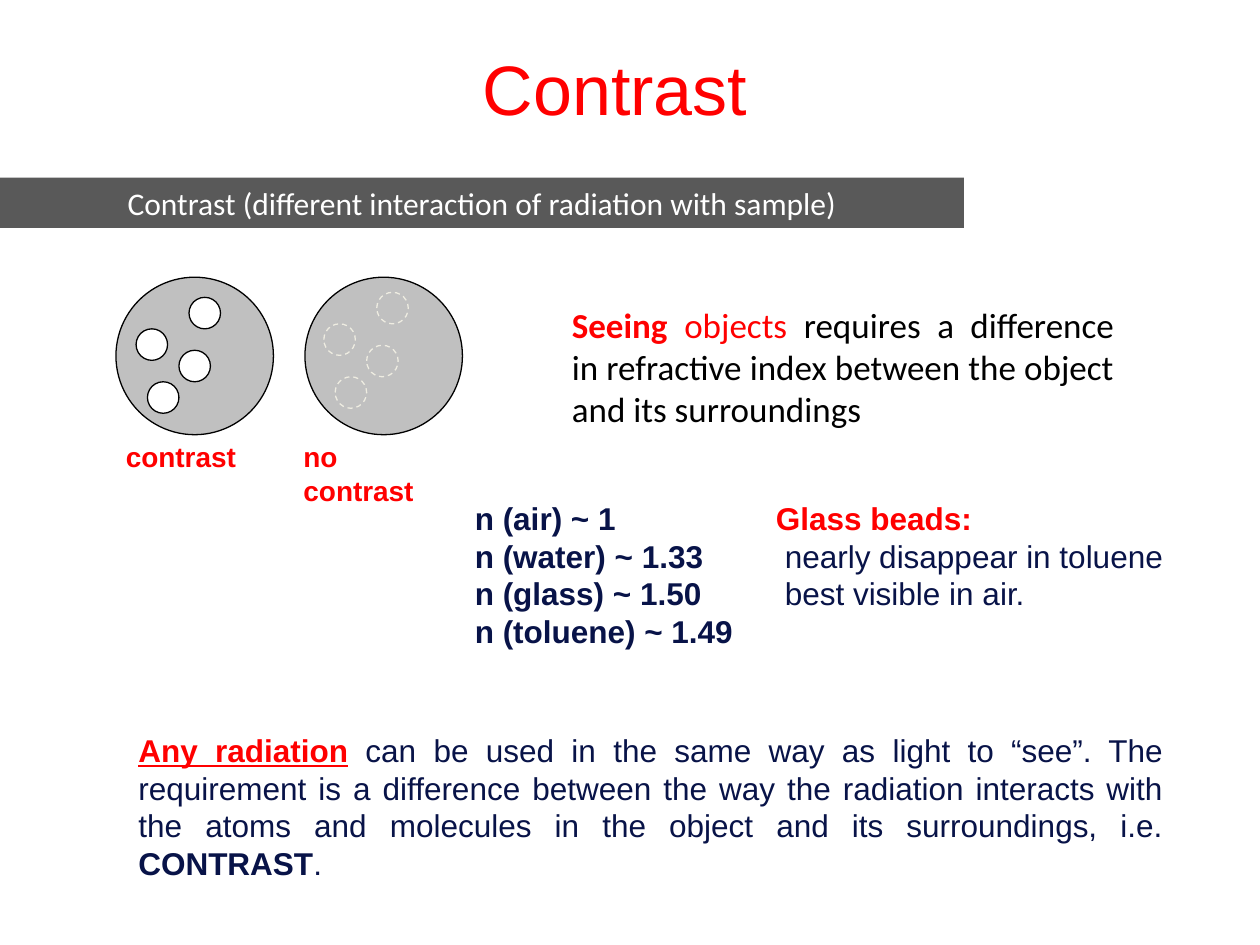
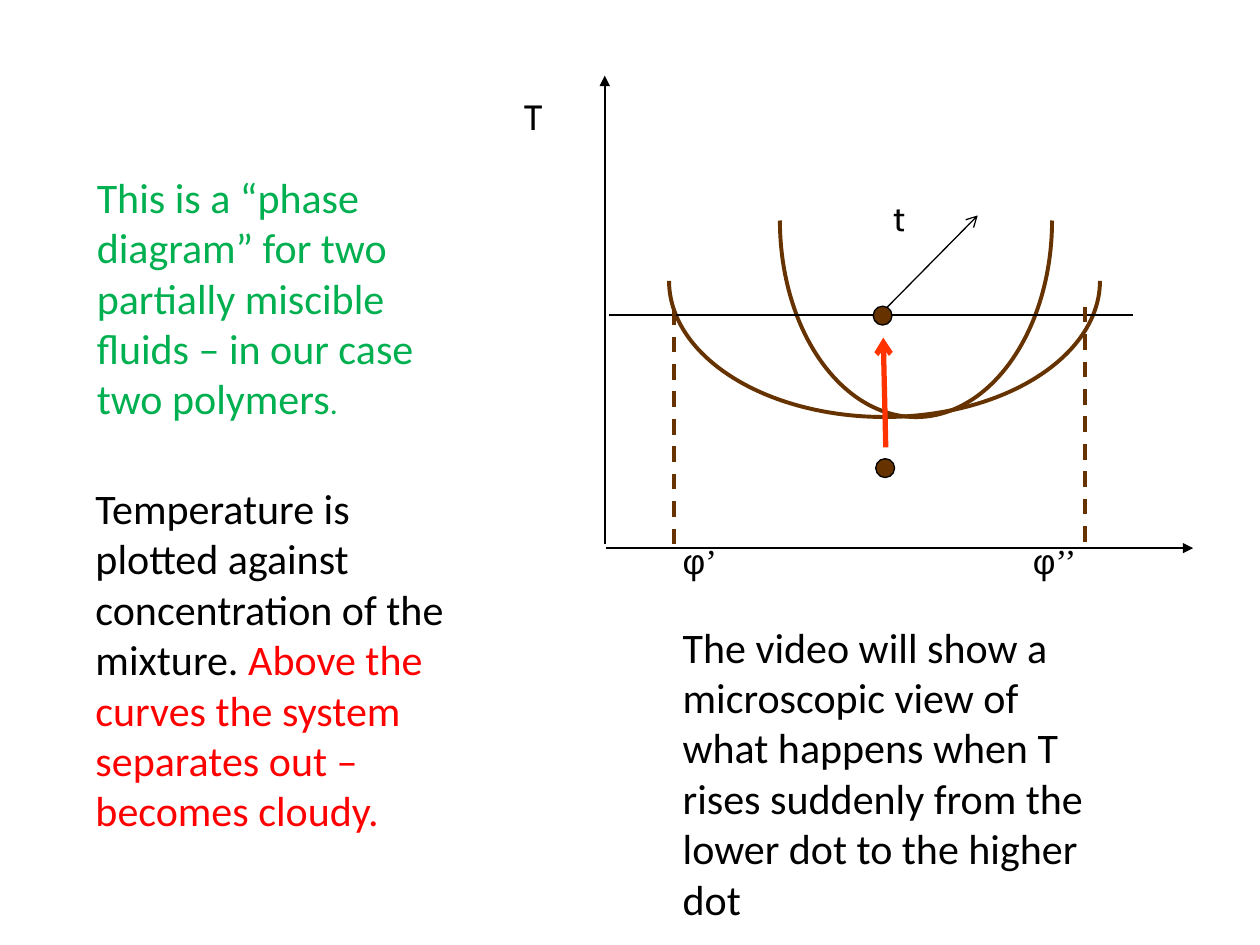
import pptx
import pptx.util
import pptx.dml.color
import pptx.enum.dml
import pptx.enum.shapes
import pptx.enum.text
import lxml.etree

PX = 9144
RED, NAVY, BLACK, WHITE = "FF0000", "081348", "000000", "FFFFFF"
GREY, PALE, BROWN, GREEN = "C0C0C0", "EEECE1", "663300", "00B050"
Pt = pptx.util.Pt
Kind = pptx.enum.shapes.MSO_SHAPE
Align = pptx.enum.text.PP_ALIGN
DASH = pptx.enum.dml.MSO_LINE.DASH
hue = pptx.dml.color.RGBColor.from_string


def draw(slide, kind, box, fill, edge=None, width=0.75, dash=None):
    shape = slide.shapes.add_shape(kind, *[n * PX for n in box])
    shape.shadow.inherit = False
    if fill:
        shape.fill.solid()
        shape.fill.fore_color.rgb = hue(fill)
    else:
        shape.fill.background()
    if edge:
        shape.line.color.rgb = hue(edge)
        shape.line.width = Pt(width)
        shape.line.dash_style = dash
    else:
        shape.line.fill.background()
    return shape


def write(frame, size, paras, align=Align.LEFT, font="Calibri"):
    frame.word_wrap = True
    frame.vertical_anchor = pptx.enum.text.MSO_ANCHOR.TOP
    for i, runs in enumerate(paras):
        para = frame.paragraphs[0] if i == 0 else frame.add_paragraph()
        para.alignment = align
        for text, color, *marks in runs:
            run = para.add_run()
            run.text = text
            run.font.size = Pt(size)
            run.font.name = font
            run.font.color.rgb = hue(color)
            run.font.bold = "b" in marks
            run.font.underline = "u" in marks
            for mark in marks:
                if mark not in ("b", "u"):
                    run.font.name = mark
    return frame


deck = pptx.Presentation()
deck.slide_width = 1000 * PX
deck.slide_height = 750 * PX
blank = deck.slide_layouts[6]

slide = deck.slides.add_slide(blank)
title = slide.shapes.add_textbox(17 * PX, 36 * PX, 942 * PX, 67 * PX).text_frame
title.margin_left = title.margin_right = title.margin_top = title.margin_bottom = 0
write(title, 40, [[("Contrast", RED)]], Align.CENTER, "Arial")
title.vertical_anchor = pptx.enum.text.MSO_ANCHOR.MIDDLE

band = draw(slide, Kind.RECTANGLE, (0, 141, 765, 40), "595959")
write(band.text_frame, 18,
      [[("Contrast (different interaction of radiation with sample)", WHITE)]],
      Align.CENTER)

beads = [(16, 41), (50, 58), (58, 16), (25, 83)]
for left, dx, dy, fill, edge, dash in [
    (92, 0, 0, WHITE, BLACK, None),
    (242, -1, -4, GREY, PALE, DASH),
]:
    draw(slide, Kind.OVAL, (left, 220, 125, 125), GREY, BLACK)
    for x, y in beads:
        box = (left + x + dx, 220 + y + dy, 25, 25)
        draw(slide, Kind.OVAL, box, fill, edge, dash=dash)

notes = [
    ((100, 575, 833, 131), 18, "Arial", [[
        ("Any radiation", RED, "b", "u"),
        (" ", RED),
        ("can be used in the same way as light to “see”. The requirement is a "
         "difference between the way the radiation interacts with the atoms and "
         "molecules in the object and its surroundings, i.e. ", NAVY),
        ("CONTRAST", NAVY, "b"),
        (".", NAVY),
    ]]),
    ((90, 344, 125, 37), 16, "Arial", [[("contrast", RED, "b")]]),
    ((231, 344, 125, 64), 16, "Arial", [[("no contrast", RED, "b")]]),
    ((444, 236, 450, 111), 20, "Calibri", [[
        ("Seeing ", RED, "b"),
        ("objects ", RED),
        ("requires a difference in refractive index between the object and its "
         "surroundings", BLACK),
    ]]),
    ((367, 391, 248, 131), 18, "Arial", [
        [(f"n ({name}) ~ {index}", NAVY, "b")]
        for name, index in [("air", "1"), ("water", "1.33"),
                            ("glass", "1.50"), ("toluene", "1.49")]
    ]),
    ((606, 391, 352, 101), 18, "Arial", [
        [("Glass beads:", RED, "b")],
        [("nearly disappear in toluene", NAVY)],
        [("best visible in air.", NAVY)],
    ]),
]
for box, size, font, paras in notes:
    frame = slide.shapes.add_textbox(*[n * PX for n in box]).text_frame
    write(frame, size, paras, Align.JUSTIFY, font)
for para in frame.paragraphs[1:]:
    para._p.get_or_add_pPr().set("marL", str(7 * PX))

slide = deck.slides.add_slide(blank)
for mid, base, wide, high in [(727, 175, 108, 156), (702, 223, 171, 108)]:
    box = (mid - wide, base - high, 2 * wide, 2 * high)
    curve = draw(slide, Kind.ARC, box, None, BROWN, 2.25)
    curve.adjustments[0] = 0
    curve.adjustments[1] = 108

for ends, color, width, dash, tip in [
    ((480, 432, 480, 60), BLACK, 1, None, "triangle"),
    ((481, 435, 947, 435), BLACK, 1, None, "triangle"),
    ((483, 250, 899, 250), BLACK, 0.75, None, None),
    ((535, 432, 535, 239), BROWN, 2.25, DASH, None),
    ((861, 430, 861, 237), BROWN, 2.25, DASH, None),
    ((703, 355, 701, 268), "FF3300", 3, None, "arrow"),
    ((704, 244, 776, 171), BLACK, 0.75, None, "arrow"),
]:
    line = slide.shapes.add_connector(
        pptx.enum.shapes.MSO_CONNECTOR.STRAIGHT, *[n * PX for n in ends])
    line.line.color.rgb = hue(color)
    line.line.width = Pt(width)
    line.line.dash_style = dash
    props = line._element.spPr
    if tip:
        tail = lxml.etree.SubElement(line.line._get_or_add_ln(),
                                     pptx.oxml.ns.qn("a:tailEnd"))
        tail.set("type", tip)
    lxml.etree.SubElement(props, pptx.oxml.ns.qn("a:effectLst"))

for x, y in [(693, 243), (695, 364)]:
    draw(slide, Kind.OVAL, (x, y, 15, 15), BROWN, BLACK)

prime = "Times New Roman"
for box, size, font, runs in [
    ((406, 71, 73, 75), 20, "Cabin", [("T", BLACK)]),
    ((699, 151, 73, 75), 20, "Cabin", [("t", BLACK)]),
    ((532, 423, 126, 75), 20, "Arial", [("φ", BLACK), ("’", BLACK, prime)]),
    ((810, 423, 126, 75), 20, "Arial", [("φ", BLACK), ("’’", BLACK, prime)]),
    ((67, 131, 323, 212), 24, "Calibri", [
        ("This is a “phase diagram” for two partially miscible fluids – in our "
         "case two polymers", GREEN),
        (".", GREEN),
    ]),
    ((66, 378, 307, 293), 24, "Calibri", [
        ("Temperature is plotted against concentration of the mixture. ", BLACK),
        ("Above the curves the system separates out – becomes cloudy.", RED),
    ]),
    ((532, 488, 357, 252), 24, "Calibri", [
        ("The video will show a microscopic view of what happens when T rises "
         "suddenly from the lower dot to the higher dot", BLACK),
    ]),
]:
    frame = slide.shapes.add_textbox(*[n * PX for n in box]).text_frame
    write(frame, size, [runs], font=font)
    if runs[-1][0] == ".":
        frame.paragraphs[0].runs[-1].font.size = Pt(18)

deck.save("out.pptx")
